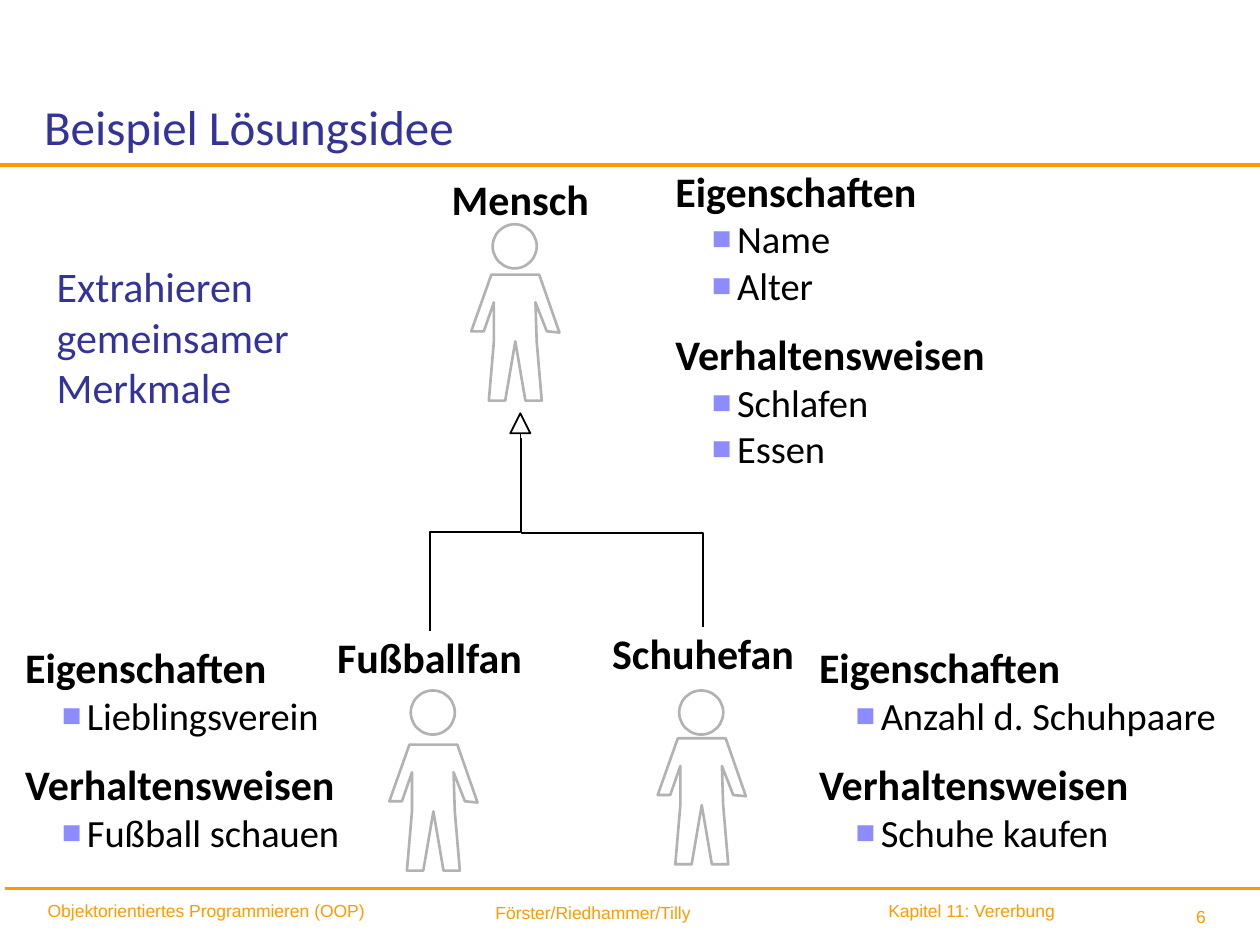
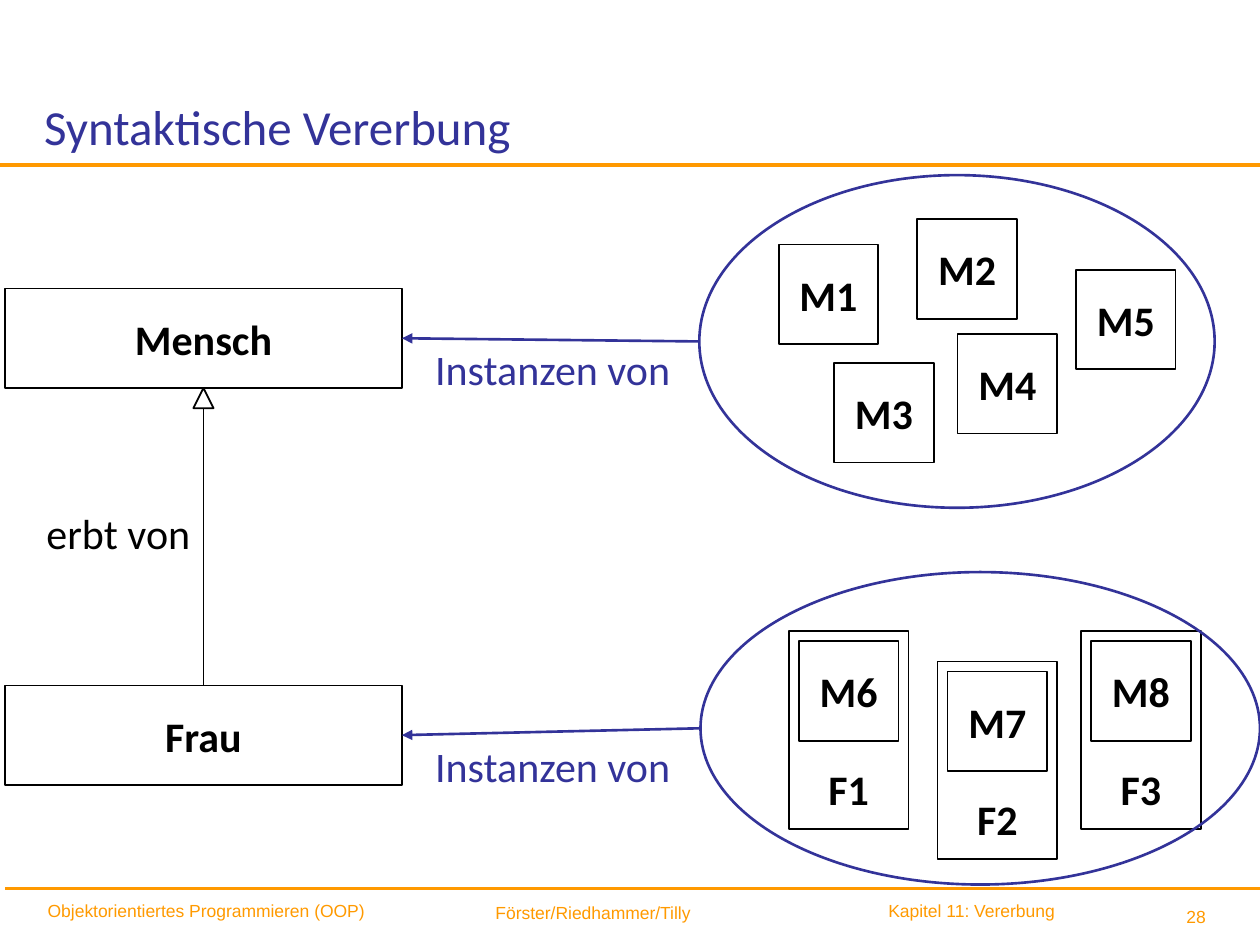
from lxml import etree
from pptx import Presentation
from pptx.dml.color import RGBColor
from pptx.enum import shapes as kinds, text
from pptx.oxml.ns import qn
from pptx.util import Inches, Pt


class Theme:
    heading_font, footer_font = "Calibri", "Arial"
    blue = RGBColor(0x33, 0x33, 0x99)
    black = RGBColor(0, 0, 0)
    gray = RGBColor(0xB2, 0xB2, 0xB2)
    rule = RGBColor(0xFF, 0x99, 0x00)
    footer = RGBColor(0xFF, 0x9A, 0x00)
    bullet = "8C8CFF"
    title_size, text_size, item_size, footer_size = 28, 24, 22, 10
    thin, medium, thick = 1, 1.5, 2


LEFT, CENTER, RIGHT = text.PP_ALIGN.LEFT, text.PP_ALIGN.CENTER, text.PP_ALIGN.RIGHT
TOP, MIDDLE, BOTTOM = (text.MSO_ANCHOR.TOP, text.MSO_ANCHOR.MIDDLE,
                       text.MSO_ANCHOR.BOTTOM)
SHAPE, CONNECTOR = kinds.MSO_SHAPE, kinds.MSO_CONNECTOR

# Boxes are (left, top, width, height); insets are (left, top, right, bottom).
TITLE_BOX = (0.35, 0.3, 5.91, 0.93)
RULES = [(0, 1.31), (0.04, 7.05)]
RULE_END = 10.04
FOOTERS = [
    ("Objektorientiertes Programmieren (OOP)", (0.28, 7.09, 2.89, 0.36),
     (0.1, 0.05, 0, 0.05), LEFT),
    ("Förster/Riedhammer/Tilly", (3.44, 7.11, 2.07, 0.36),
     (0.1, 0.05, 0.03, 0.05), RIGHT),
    ("Kapitel 11: Vererbung", (7.05, 7.09, 2.2, 0.36),
     (0, 0.05, 0.1, 0.05), LEFT),
]
PAGE_NUMBER_BOX = (6.56, 7.14, 3.17, 0.36)
PAGE_NUMBER_INSETS = (0.1, 0.05, 0.16, 0.05)

IDEA = "Extrahieren gemeinsamer Merkmale"
IDEA_BOX = (0.35, 2.02, 3.07, 1.31)
# Name, label box, body corner, top of head
PEOPLE = [
    ("Mensch", (3.58, 1.38, 1.1, 0.4), (3.74, 2.18), 1.78),
    ("Fußballfan", (2.67, 5.01, 1.48, 0.4), (3.09, 5.91), 5.48),
    ("Schuhefan", (4.85, 4.98, 1.46, 0.4), (5.22, 5.86), 5.48),
]
BODY_OUTLINE = [
    (0, 0.45), (0.16, 0), (0.54, 0), (0.7, 0.46), (0.6, 0.45),
    (0.51, 0.22), (0.52, 0.53), (0.56, 1), (0.43, 1), (0.35, 0.53),
    (0.27, 1), (0.14, 1), (0.18, 0.53), (0.18, 0.22), (0.1, 0.45),
]
HEAD_OFFSET, HEAD_SIZE = 0.17, 0.35
FEATURES = [
    ((5.36, 1.31, 3.78, 2.99), ["Name", "Alter"], ["Schlafen", "Essen"]),
    ((0.2, 5.09, 3.78, 2.36), ["Lieblingsverein"], ["Fußball schauen"]),
    ((6.5, 5.09, 3.78, 2.36), ["Anzahl d. Schuhpaare"], ["Schuhe kaufen"]),
]
INHERITANCE_LINES = [((3.41, 5.01), (4.13, 3.44)), ((5.58, 4.98), (4.14, 3.48))]
ARROWHEAD_SIZE = 0.16

CLASS_LEFT, CLASS_WIDTH, CLASS_HEIGHT = 0.04, 3.15, 0.79
INSTANCE_LABEL = "Instanzen von"
# Class name, class top, ellipse of instances
CLASSES = [
    ("Mensch", 2.29, (5.55, 1.39, 4.09, 2.64)),
    ("Frau", 5.44, (5.56, 4.54, 4.44, 2.48)),
]
INSTANCE_SIZE, WOMAN_SIZE, WOMAN_PADDING = 0.79, (0.95, 1.57), 0.08
HUMANS = [("M1", 6.18, 1.94), ("M2", 7.28, 1.74), ("M3", 6.62, 2.88),
          ("M4", 7.6, 2.65), ("M5", 8.54, 2.14)]
WOMEN = [("F1", "M6", 6.26, 5.01), ("F2", "M7", 7.44, 5.25),
         ("F3", "M8", 8.58, 5.01)]


def inches(values):
    return [Inches(value) for value in values]


def set_frame(frame, insets=(0, 0, 0, 0), anchor=TOP, wrap=True):
    (frame.margin_left, frame.margin_top,
     frame.margin_right, frame.margin_bottom) = inches(insets)
    frame.vertical_anchor = anchor
    frame.word_wrap = wrap
    frame.auto_size = text.MSO_AUTO_SIZE.NONE


def style(paragraph, size=Theme.text_size, color=Theme.black, bold=False,
          align=LEFT, font=Theme.heading_font, before=0):
    paragraph.alignment = align
    paragraph.space_before = Pt(before)
    paragraph.font.name = font
    paragraph.font.size = Pt(size)
    paragraph.font.bold = bold
    paragraph.font.color.rgb = color


def add_text(slide, words, box, insets=(0, 0, 0, 0), wrap=False, **look):
    frame = slide.shapes.add_textbox(*inches(box)).text_frame
    set_frame(frame, insets, wrap=wrap)
    frame.text = words
    style(frame.paragraphs[0], **look)


def move(shape, box):
    shape.left, shape.top, shape.width, shape.height = inches(box)


def outline(shape, color, width):
    shape.shadow.inherit = False
    shape.fill.background()
    shape.line.color.rgb = color
    shape.line.width = Pt(width)


def add_outlined(slide, kind, box, color=Theme.black, width=Theme.thin):
    shape = slide.shapes.add_shape(kind, *inches(box))
    outline(shape, color, width)
    return shape


def add_labelled_box(slide, words, box, anchor=MIDDLE, bottom=0):
    frame = add_outlined(slide, SHAPE.RECTANGLE, box).text_frame
    set_frame(frame, (0, 0, 0, bottom), anchor, wrap=False)
    frame.text = words
    style(frame.paragraphs[0], bold=True, align=CENTER)


def add_line(slide, start, end, color=Theme.black, width=Theme.thin,
             kind=CONNECTOR.STRAIGHT, arrow=False):
    connector = slide.shapes.add_connector(kind, *inches(start + end))
    connector.line.color.rgb = color
    connector.line.width = Pt(width)
    properties = connector._element.spPr
    if arrow:
        etree.SubElement(properties.find(qn("a:ln")), qn("a:tailEnd"),
                         type="triangle")
    etree.SubElement(properties, qn("a:effectLst"))
    return connector


def add_rising_elbow(slide, start, end):
    """Draw an elbow that leaves upwards: a sideways elbow turned by 270 degrees."""
    center_x, center_y = (start[0] + end[0]) / 2, (start[1] + end[1]) / 2
    half_run, half_rise = (end[0] - start[0]) / 2, (start[1] - end[1]) / 2
    connector = add_line(slide, (center_x - half_rise, center_y - half_run),
                         (center_x + half_rise, center_y + half_run),
                         kind=CONNECTOR.ELBOW)
    connector._element.spPr.find(qn("a:xfrm")).set("rot", str(270 * 60000))


def add_inheritance_head(slide, tip_x, tip_y):
    add_outlined(slide, SHAPE.ISOSCELES_TRIANGLE,
                 (tip_x - ARROWHEAD_SIZE / 2, tip_y, ARROWHEAD_SIZE, ARROWHEAD_SIZE))


def set_bullet(paragraph, shown):
    properties = paragraph._p.get_or_add_pPr()
    properties.set("marL", str(Inches(0.49) if shown else 0))
    properties.set("indent", str(Inches(-0.2) if shown else 0))
    if not shown:
        etree.SubElement(properties, qn("a:buNone"))
        return
    color = etree.SubElement(properties, qn("a:buClr"))
    etree.SubElement(color, qn("a:srgbClr"), val=Theme.bullet)
    etree.SubElement(properties, qn("a:buSzPct"), val="85000")
    etree.SubElement(properties, qn("a:buFont"), typeface=Theme.footer_font)
    etree.SubElement(properties, qn("a:buChar"), char="■")


def fill_features(placeholder, box, attributes, behaviours):
    move(placeholder, box)
    frame = placeholder.text_frame
    set_frame(frame)
    lines = [("Eigenschaften", True), *((item, False) for item in attributes),
             ("Verhaltensweisen", True), *((item, False) for item in behaviours)]
    frame.text = "\n".join(words for words, _ in lines)
    for index, (paragraph, (_, heading)) in enumerate(zip(frame.paragraphs, lines)):
        paragraph.level = 0 if heading else 1
        set_bullet(paragraph, not heading)
        style(paragraph, Theme.text_size if heading else Theme.item_size,
              bold=heading, before=12 if heading and index else 0)


def add_person(slide, name, label_box, corner, head_top):
    left, top = corner
    points = [inches((left + x, top + y)) for x, y in BODY_OUTLINE]
    builder = slide.shapes.build_freeform(*points[0])
    builder.add_line_segments(points[1:], close=True)
    outline(builder.convert_to_shape(), Theme.gray, Theme.medium)
    add_outlined(slide, SHAPE.OVAL,
                 (left + HEAD_OFFSET, head_top, HEAD_SIZE, HEAD_SIZE),
                 Theme.gray, Theme.medium)
    add_text(slide, name, label_box, bold=True, align=CENTER)


def add_slide(presentation, layout_name, title, number):
    layout = presentation.slide_layouts.get_by_name(layout_name)
    slide = presentation.slides.add_slide(layout)
    heading = slide.shapes.title
    move(heading, TITLE_BOX)
    set_frame(heading.text_frame, anchor=BOTTOM)
    heading.text_frame.text = title
    style(heading.text_frame.paragraphs[0], Theme.title_size, Theme.blue)
    for left, top in RULES:
        add_line(slide, (left, top), (RULE_END, top), Theme.rule, Theme.thick)
    page = (str(number), PAGE_NUMBER_BOX, PAGE_NUMBER_INSETS, RIGHT)
    for words, box, insets, align in [*FOOTERS, page]:
        add_text(slide, words, box, insets, wrap=True, size=Theme.footer_size,
                 color=Theme.footer, font=Theme.footer_font, align=align)
    return slide


def build_solution_idea(presentation):
    slide = add_slide(presentation, "Comparison", "Beispiel Lösungsidee", 6)
    _, idea, *feature_lists = slide.placeholders
    move(idea, IDEA_BOX)
    set_frame(idea.text_frame, (0.1, 0.05, 0.1, 0.05))
    idea.text_frame.text = IDEA
    set_bullet(idea.text_frame.paragraphs[0], False)
    style(idea.text_frame.paragraphs[0], color=Theme.blue)
    for placeholder, features in zip(feature_lists, FEATURES):
        fill_features(placeholder, *features)
    for person in PEOPLE:
        add_person(slide, *person)
    for start, end in INHERITANCE_LINES:
        add_rising_elbow(slide, start, end)
    add_inheritance_head(slide, 4.13, 3.28)


def build_syntactic_inheritance(presentation):
    slide = add_slide(presentation, "Title Only", "Syntaktische Vererbung", 28)
    class_right = CLASS_LEFT + CLASS_WIDTH
    for name, top, ellipse in CLASSES:
        add_labelled_box(slide, name, (CLASS_LEFT, top, CLASS_WIDTH, CLASS_HEIGHT))
        add_text(slide, INSTANCE_LABEL, (3.43, top + 0.44, 1.89, 0.4),
                 color=Theme.blue, align=RIGHT)
        ellipse_middle = ellipse[1] + ellipse[3] / 2
        add_line(slide, (ellipse[0], ellipse_middle),
                 (class_right, top + CLASS_HEIGHT / 2),
                 Theme.blue, Theme.medium, arrow=True)

    parent_bottom, child_top = CLASSES[0][1] + CLASS_HEIGHT, CLASSES[1][1]
    class_center = CLASS_LEFT + CLASS_WIDTH / 2
    add_inheritance_head(slide, class_center, parent_bottom)
    add_line(slide, (class_center, child_top),
             (class_center, parent_bottom + ARROWHEAD_SIZE))
    add_text(slide, "erbt von", (0.36, 4.03, 1.15, 0.4), align=RIGHT)

    humans = list(HUMANS)
    for woman, human, left, top in WOMEN:
        humans.append((human, left + WOMAN_PADDING, top + WOMAN_PADDING))
        add_labelled_box(slide, woman, (left, top, *WOMAN_SIZE), BOTTOM, 0.12)
    for human, left, top in humans:
        add_labelled_box(slide, human, (left, top, INSTANCE_SIZE, INSTANCE_SIZE))
    for _, _, ellipse in CLASSES:
        add_outlined(slide, SHAPE.OVAL, ellipse, Theme.blue, Theme.medium)


def main():
    presentation = Presentation()
    presentation.slide_width, presentation.slide_height = inches((10, 7.5))
    build_solution_idea(presentation)
    build_syntactic_inheritance(presentation)
    presentation.save("out.pptx")


if __name__ == "__main__":
    main()
